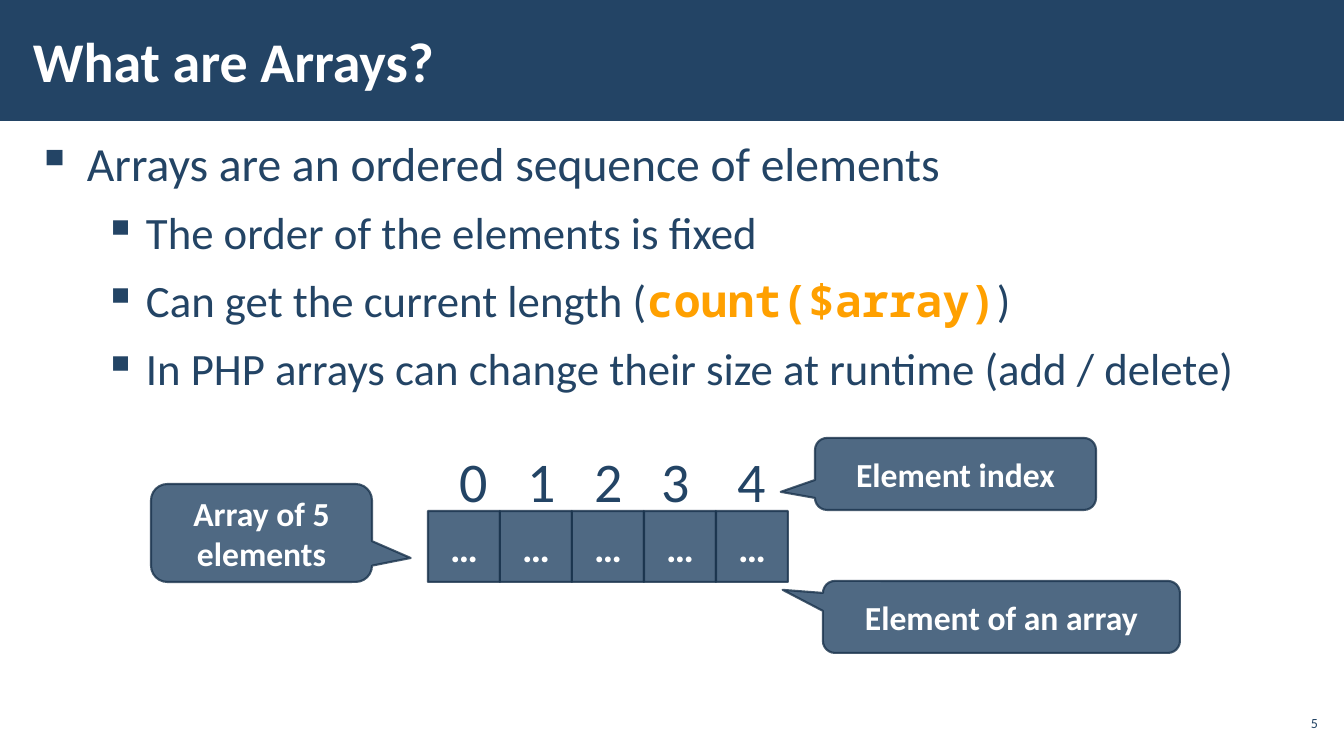
from lxml.etree import SubElement
from pptx import Presentation
from pptx.dml.color import RGBColor
from pptx.enum.shapes import MSO_SHAPE
from pptx.enum.text import MSO_ANCHOR, PP_ALIGN
from pptx.oxml.ns import qn
from pptx.util import Emu, Pt

PX = 914400 / 100.8
NAVY = RGBColor(0x23, 0x44, 0x65)
DARK_NAVY = RGBColor(0x1A, 0x33, 0x4C)
ORANGE = RGBColor(0xFF, 0xA0, 0x00)
WHITE = RGBColor(0xFF, 0xFF, 0xFF)


def px(*lengths):
    """Turn whole pixels into EMU."""
    return [Emu(round(length * PX)) for length in lengths]


def add_span(para, text, size, color, bold=False, font="Calibri"):
    span = para.add_run()
    span.text = text
    span.font.name = font
    span.font.size = Pt(size)
    span.font.bold = bold
    span.font.color.rgb = color


deck = Presentation()
deck.slide_width, deck.slide_height = px(1344, 756)
page = deck.slides.add_slide(deck.slide_layouts[6])

# Header band and title
band = page.shapes.add_shape(MSO_SHAPE.RECTANGLE, *px(0, 0, 1344, 121))
band.shadow.inherit = False
band.fill.solid()
band.fill.fore_color.rgb = NAVY
band.line.fill.background()

title = page.shapes.add_textbox(*px(21, 11, 1047, 98)).text_frame
title.word_wrap = True
title.vertical_anchor = MSO_ANCHOR.MIDDLE
title.margin_left, title.margin_right = px(12, 12)
add_span(title.paragraphs[0], "What are Arrays?", 40, WHITE, bold=True)

# Bulleted text: level and the spans (text, is code)
bullets = [
    (0, [("Arrays are an ordered sequence of elements", False)]),
    (1, [("The order of the elements is fixed", False)]),
    (1, [("Can get the current length (", False), ("count($array)", True), (")", False)]),
    (1, [("In PHP arrays can change their size at runtime (add / delete)", False)]),
]
body = page.shapes.add_textbox(*px(25, 134, 1243, 295)).text_frame
body.word_wrap = True
body.margin_left, body.margin_top, body.margin_right, body.margin_bottom = px(12, 4, 12, 4)
for number, (level, spans) in enumerate(bullets):
    para = body.add_paragraph() if number else body.paragraphs[0]
    para.level = level
    para.line_spacing = 0.95
    para.space_before = Pt(6 if number else 0)
    para.space_after = Pt(6)
    margin, indent = px(*[(50, -50), (109, -42)][level])
    properties = para._p.get_or_add_pPr()
    properties.set("marL", str(margin))
    properties.set("indent", str(indent))
    SubElement(properties, qn("a:buChar"), char="▪")
    size = [34, 32][level]
    for text, is_code in spans:
        if is_code:
            add_span(para, text, size, ORANGE, bold=True, font="Noto Sans Mono")
        else:
            add_span(para, text, size, NAVY)

# Callouts and array cells share one translucent style
CALLOUT = MSO_SHAPE.ROUNDED_RECTANGULAR_CALLOUT
blocks = [
    (CALLOUT, (151, 484, 221, 98), (0.675, 0.255, 0.167), "Array of 5 elements", 24),
    (CALLOUT, (815, 438, 281, 72), (-0.622, 0.249, 0.167), "Element index", 24),
    (CALLOUT, (823, 581, 357, 72), (-0.613, -0.376, 0.167), "Element of an array", 24),
]
for cell in range(5):
    blocks.append((MSO_SHAPE.RECTANGLE, (428 + 72 * cell, 511, 72, 71), (), "…", 28))

for kind, place, adjustments, text, size in blocks:
    block = page.shapes.add_shape(kind, *px(*place))
    for index, value in enumerate(adjustments):
        block.adjustments[index] = value
    block.shadow.inherit = False
    block.fill.solid()
    block.fill.fore_color.rgb = NAVY
    block.line.color.rgb = DARK_NAVY
    block.line.width = Pt(1.5)
    for color in block._element.spPr.iter(qn("a:srgbClr")):
        SubElement(color, qn("a:alpha"), val="80000")
    frame = block.text_frame
    frame.word_wrap = True
    frame.vertical_anchor = MSO_ANCHOR.MIDDLE
    frame.paragraphs[0].alignment = PP_ALIGN.CENTER
    add_span(frame.paragraphs[0], text, size, WHITE, bold=True)

# Index above each cell
for index, left in enumerate((444, 512, 579, 646, 722)):
    frame = page.shapes.add_textbox(*px(left, 428, 60, 99)).text_frame
    frame.word_wrap = False
    frame.margin_left, frame.margin_top, frame.margin_right, frame.margin_bottom = px(16, 12, 16, 12)
    frame.paragraphs[0].line_spacing = 1.1
    add_span(frame.paragraphs[0], str(index), 40, NAVY)

# Slide number
footer = page.shapes.add_textbox(*px(1275, 706, 47, 34)).text_frame
footer.word_wrap = True
footer.vertical_anchor = MSO_ANCHOR.MIDDLE
footer.margin_left, footer.margin_right = px(4, 4)
footer.paragraphs[0].alignment = PP_ALIGN.RIGHT
add_span(footer.paragraphs[0], "5", 10, NAVY)

deck.save("out.pptx")
